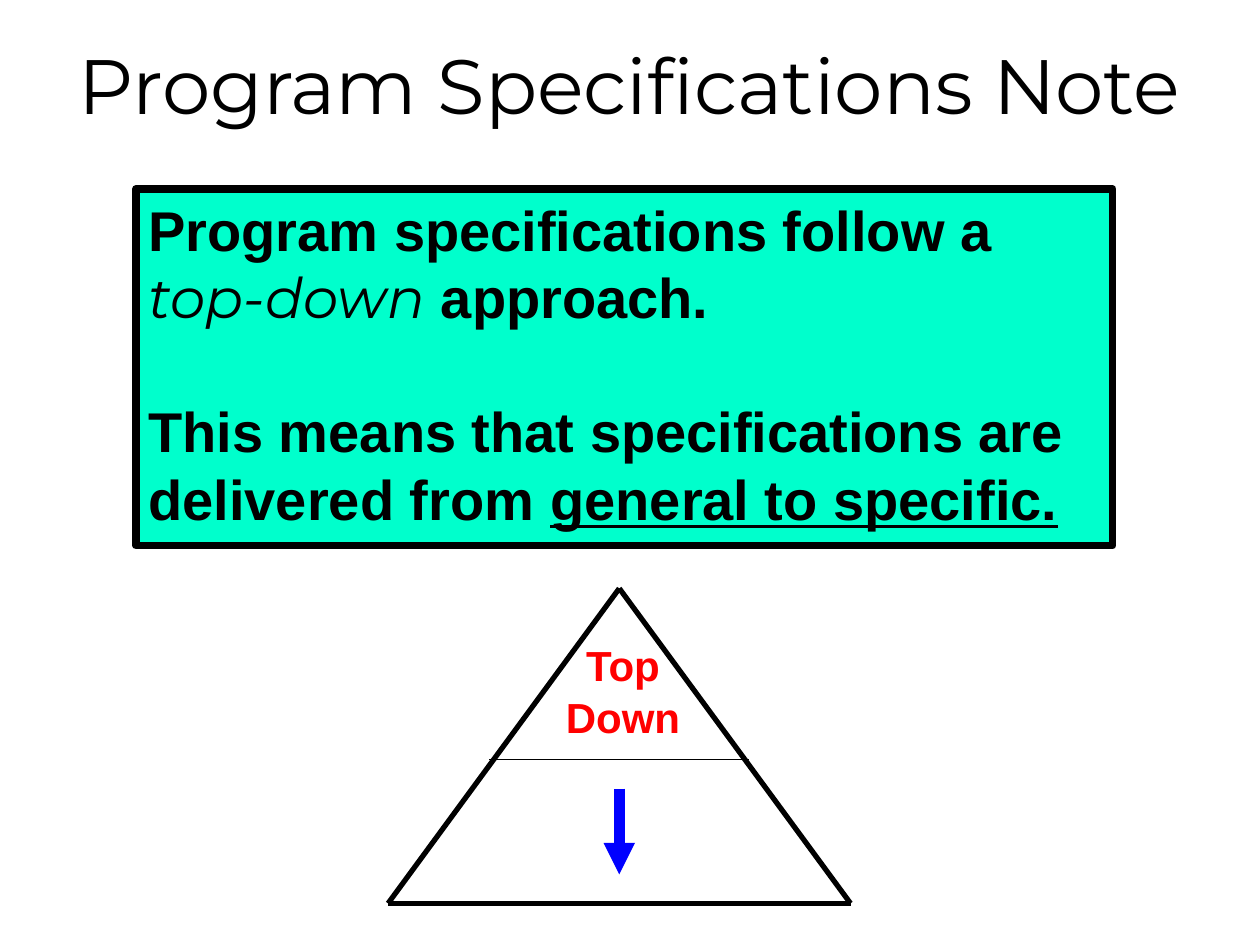
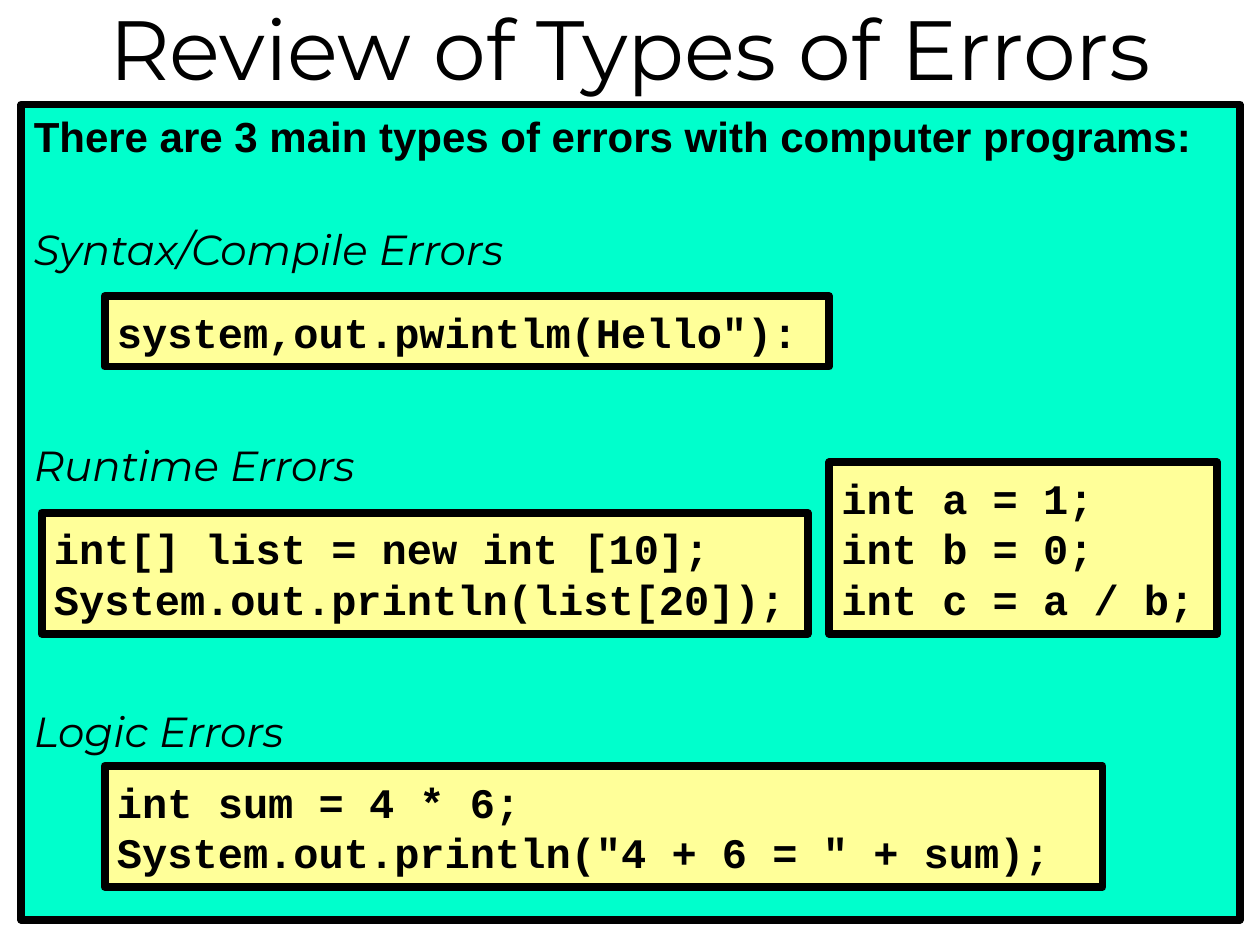
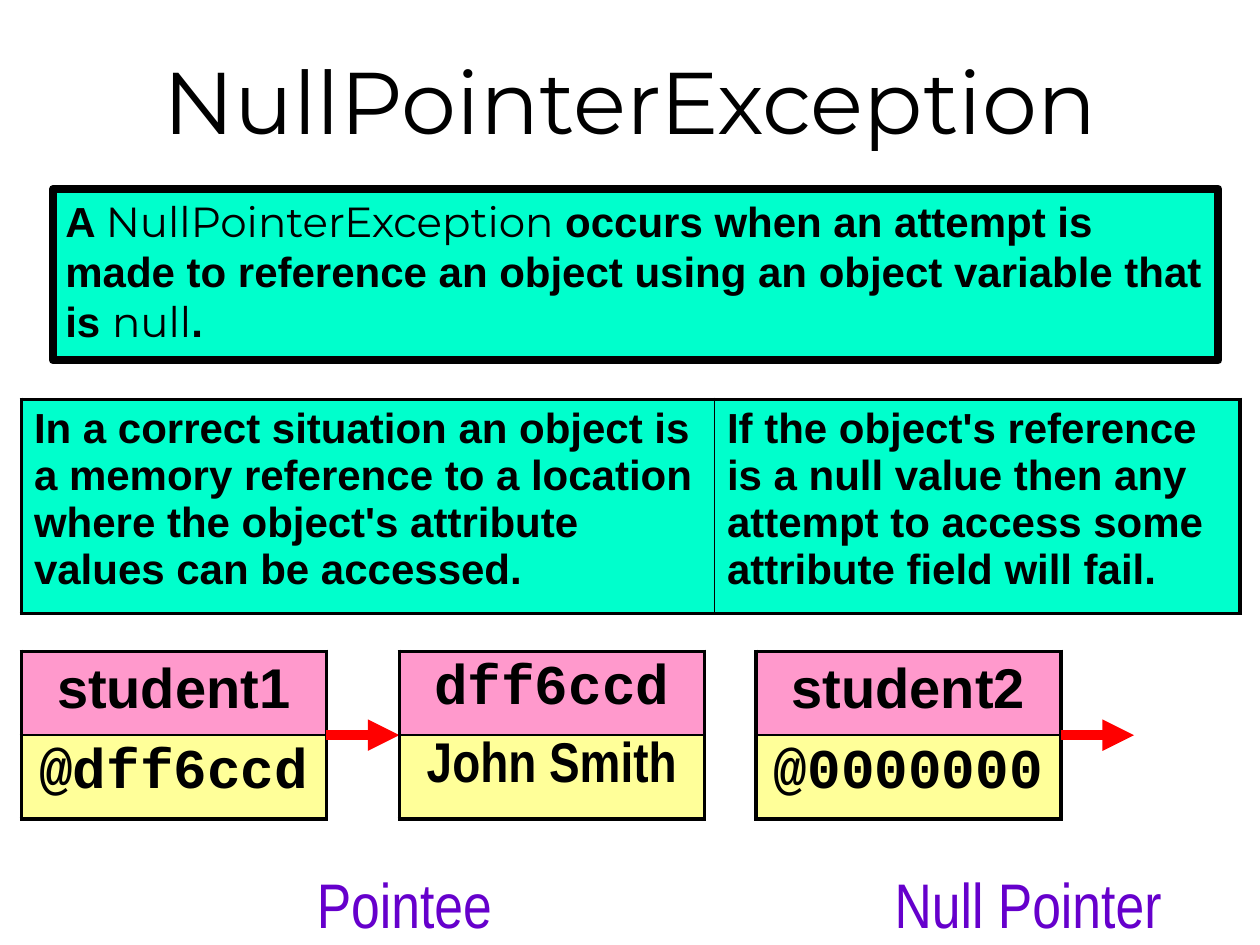
from dataclasses import dataclass
from typing import NamedTuple

from lxml import etree
from pptx import Presentation
from pptx import util as u
from pptx.dml.color import RGBColor
from pptx.enum import shapes, text
from pptx.oxml import ns


class Box(NamedTuple):
    """A region of the slide in inches."""
    x: float
    y: float
    w: float
    h: float


@dataclass(frozen=True)
class Theme:
    """Colours, fonts, type sizes and line widths shared by the slides."""
    ink: str = "000000"
    panel: str = "00FFCC"
    code: str = "FFFF99"
    name: str = "FF99CC"
    red: str = "FF0000"
    blue: str = "0000FF"
    purple: str = "6600CC"
    sans: str = "Arial"
    narrow: str = "Arial Narrow"
    mono: str = "Courier New"
    display: str = "Montserrat"
    body: int = 24
    large: int = 32
    label: int = 36
    leading: float = 1.2
    frame: float = 4.5
    outer: float = 2.25
    inner: float = 1


T = Theme()
STYLES = {
    "bold": dict(name=T.sans, bold=True),
    "accent": dict(name=T.display, bold=False),
    "term": dict(name=T.display, bold=False, italic=True),
    "underlined": dict(name=T.sans, bold=True, underline=True),
    "code": dict(name=T.mono, bold=True),
    "narrow": dict(name=T.narrow, bold=True),
    "label": dict(name=T.narrow, bold=False),
}
CENTER = text.PP_ALIGN.CENTER
LEFT = text.PP_ALIGN.LEFT


def inches(values):
    """Convert numbers to lengths."""
    return [u.Inches(v) for v in values]


def set_attrs(obj, **values):
    """Set several attributes on one object."""
    for key, value in values.items():
        setattr(obj, key, value)


def add_run(p, words, style, size, color=T.ink):
    """Add one formatted run to a paragraph."""
    r = p.add_run()
    r.text = words
    set_attrs(r.font, size=u.Pt(size), **STYLES[style])
    r.font.color.rgb = RGBColor.from_string(color)


def write(tf, lines, size, color=T.ink, align=LEFT, leading=None, gaps=None):
    """Write paragraphs of (words, style) runs, with gaps in points by index."""
    tf.word_wrap = True
    for i, runs in enumerate(lines):
        p = tf.add_paragraph() if i else tf.paragraphs[0]
        p.alignment = align
        if leading:
            p.line_spacing = u.Pt(leading)
        if gaps and i in gaps:
            p.space_before = u.Pt(gaps[i])
        for words, style in runs:
            add_run(p, words, style, size, color)


def add_title(prs, words, size, height):
    """Start a slide with its title centred in a band at the top."""
    s = prs.slides.add_slide(prs.slide_layouts[5])
    title = s.shapes.title
    band = inches((0, 0, 10, height))
    set_attrs(title, **dict(zip(("left", "top", "width", "height"), band)))
    tf = title.text_frame
    set_attrs(tf, text=words, auto_size=text.MSO_AUTO_SIZE.NONE, word_wrap=True,
              vertical_anchor=text.MSO_ANCHOR.MIDDLE)
    p = tf.paragraphs[0]
    p.alignment = CENTER
    set_attrs(p.font, size=u.Pt(size), name=T.display)
    p.font.color.rgb = RGBColor.from_string(T.ink)
    return s


def add_panel(s, box, lines, size=T.body, fill=T.panel, gaps=None):
    """Add a framed rectangle holding paragraphs."""
    sp = s.shapes.add_shape(shapes.MSO_SHAPE.RECTANGLE, *inches(box))
    sp.shadow.inherit = False
    sp.fill.solid()
    sp.fill.fore_color.rgb = RGBColor.from_string(fill)
    sp.line.color.rgb = RGBColor.from_string(T.ink)
    sp.line.width = u.Pt(T.frame)
    sp.text_frame.vertical_anchor = text.MSO_ANCHOR.MIDDLE if fill == T.code else text.MSO_ANCHOR.TOP
    write(sp.text_frame, lines, size, leading=size * T.leading, gaps=gaps)


def add_code(s, box, *lines):
    """Add a framed box of code lines."""
    add_panel(s, box, [[(line, "code")] for line in lines], fill=T.code)


def add_label(parent, box, lines, size, color, style, leading=None):
    """Add centred text without a frame."""
    sp = parent.shapes.add_textbox(*inches(box))
    write(sp.text_frame, [[(line, style)] for line in lines], size, color, CENTER, leading)


def add_line(parent, start, end, color=T.ink, width=3, arrow=False):
    """Add a straight line, with an arrowhead at its end if wanted."""
    cx = parent.shapes.add_connector(shapes.MSO_CONNECTOR.STRAIGHT, *inches(start + end))
    cx.line.color.rgb = RGBColor.from_string(color)
    cx.line.width = u.Pt(width)
    if arrow:
        etree.SubElement(cx.line._get_or_add_ln(), ns.qn("a:tailEnd"), type="triangle")
    etree.SubElement(cx._element.spPr, ns.qn("a:effectLst"))


def set_borders(cell, widths):
    """Draw the left, right, top and bottom borders of a cell."""
    tc_pr = cell._tc.get_or_add_tcPr()
    for side, width in zip("LRTB", widths):
        ln = etree.SubElement(tc_pr, ns.qn(f"a:ln{side}"), w=str(u.Pt(width)))
        fill = etree.SubElement(ln, ns.qn("a:solidFill"))
        etree.SubElement(fill, ns.qn("a:srgbClr"), val=T.ink)


def add_grid(s, box, col_widths, rows, fills, size, align=LEFT):
    """Add a table with heavy outer and light inner borders."""
    n_rows, n_cols = len(rows), len(col_widths)
    table = s.shapes.add_table(n_rows, n_cols, *inches(box)).table
    set_attrs(table, first_row=False, horz_banding=False)
    for col, width in zip(table.columns, col_widths):
        col.width = u.Inches(width)
    for i, row in enumerate(rows):
        for j, run in enumerate(row):
            cell = table.cell(i, j)
            edges = (j == 0, j == n_cols - 1, i == 0, i == n_rows - 1)
            set_borders(cell, [T.outer if edge else T.inner for edge in edges])
            cell.fill.solid()
            cell.fill.fore_color.rgb = RGBColor.from_string(fills[i])
            write(cell.text_frame, [[run]], size, align=align)


def add_pyramid(s, box):
    """Add a triangle with a captioned top and an arrow pointing down."""
    group = s.shapes.add_group_shape()
    x, y, w, h = box
    mid = x + w / 2
    apex, left, right = (mid, y), (x, y + h), (x + w, y + h)
    for start, end in ((apex, left), (apex, right), (left, right)):
        add_line(group, start, end)
    add_label(group, Box(mid - 0.6, y + 0.34, 1.26, 0.94), ("Top", "Down"),
              T.body, T.red, "bold", leading=30)
    add_line(group, (mid - 1.03, y + 1.36), (mid + 1.03, y + 1.36), width=0.75)
    add_line(group, (mid, y + 1.59), (mid, y + 2.27), T.blue, 6, True)


def add_memory(s, box, step, cells):
    """Add a two-row memory cell for each (offset, name, value) in a row."""
    for offset, name, value in cells:
        add_grid(s, box._replace(x=box.x + offset), [box.w], [[name], [value]],
                 [T.name, T.code], T.large, CENTER)
        if value[0].startswith("@"):
            x, y = box.x + offset + box.w, box.y + box.h / 2
            add_line(s, (x, y), (x + step, y), T.red, 6, True)


def specifications_slide(prs):
    """Build the slide on top-down specifications."""
    s = add_title(prs, "Program Specifications Note", 44, 1.33)
    add_panel(s, Box(1.08, 1.5, 7.75, 2.83), [
        [("Program specifications follow a", "bold")],
        [("top-down", "term"), (" approach.", "bold")],
        [("This means that specifications are delivered from ", "bold"),
         ("general to specific.", "underlined")],
    ], T.large, gaps={2: T.large * T.leading})
    add_pyramid(s, Box(3.08, 4.67, 3.67, 2.5))


def errors_slide(prs):
    """Build the slide on the three types of errors."""
    s = add_title(prs, "Review of Types of Errors", 48, 0.75)
    add_panel(s, Box(0.17, 0.83, 9.67, 6.47), [
        [("There are 3 main types of errors with computer programs:", "bold")],
        [("Syntax/Compile Errors", "term")],
        [("Runtime Errors", "term")],
        [("Logic Errors", "term")],
    ], gaps={1: 35.5, 2: 94.6, 3: 123.2})
    add_code(s, Box(0.83, 2.35, 5.75, 0.56), 'system,out.pwintlm(Hello"):')
    add_code(s, Box(6.58, 3.67, 3.08, 1.36), "int a = 1;", "int b = 0;", "int c = a / b;")
    add_code(s, Box(0.33, 4.07, 6.08, 0.96),
             "int[] list = new int [10];", "System.out.println(list[20]);")
    add_code(s, Box(0.83, 6.08, 7.92, 0.96),
             "int sum = 4 * 6;", 'System.out.println("4 + 6 = " + sum);')


def null_pointer_slide(prs):
    """Build the slide on null references."""
    s = add_title(prs, "NullPointerException", 50, 1.58)
    add_panel(s, Box(0.42, 1.5, 9.25, 1.36), [[
        ("A ", "bold"), ("NullPointerException", "accent"),
        (" occurs when an attempt is made to reference an object using an object"
         " variable that is ", "bold"),
        ("null", "accent"), (".", "bold"),
    ]])
    add_grid(s, Box(0.17, 3.17, 9.67, 1.7), [5.5, 4.17], [[
        ("In a correct situation an object is a memory reference to a location where"
         " the object's attribute values can be accessed.", "bold"),
        ("If the object's reference is a null value then any attempt to access some"
         " attribute field will fail.", "bold"),
    ]], [T.panel], T.body)
    add_memory(s, Box(0.17, 5.17, 2.42, 1.33), 0.58, [
        (0, ("student1", "bold"), ("@dff6ccd", "code")),
        (3, ("dff6ccd", "code"), ("John Smith", "narrow")),
        (5.83, ("student2", "bold"), ("@0000000", "code")),
    ])
    for x, caption in ((1.71, "Pointee"), (6.66, "Null Pointer")):
        add_label(s, Box(x, 6.82, 3, 0.67), [caption], T.label, T.purple, "label")


def main():
    """Build and save the presentation."""
    prs = Presentation()
    set_attrs(prs, slide_width=u.Inches(10), slide_height=u.Inches(7.5))
    for build in (specifications_slide, errors_slide, null_pointer_slide):
        build(prs)
    prs.save("out.pptx")


if __name__ == "__main__":
    main()
